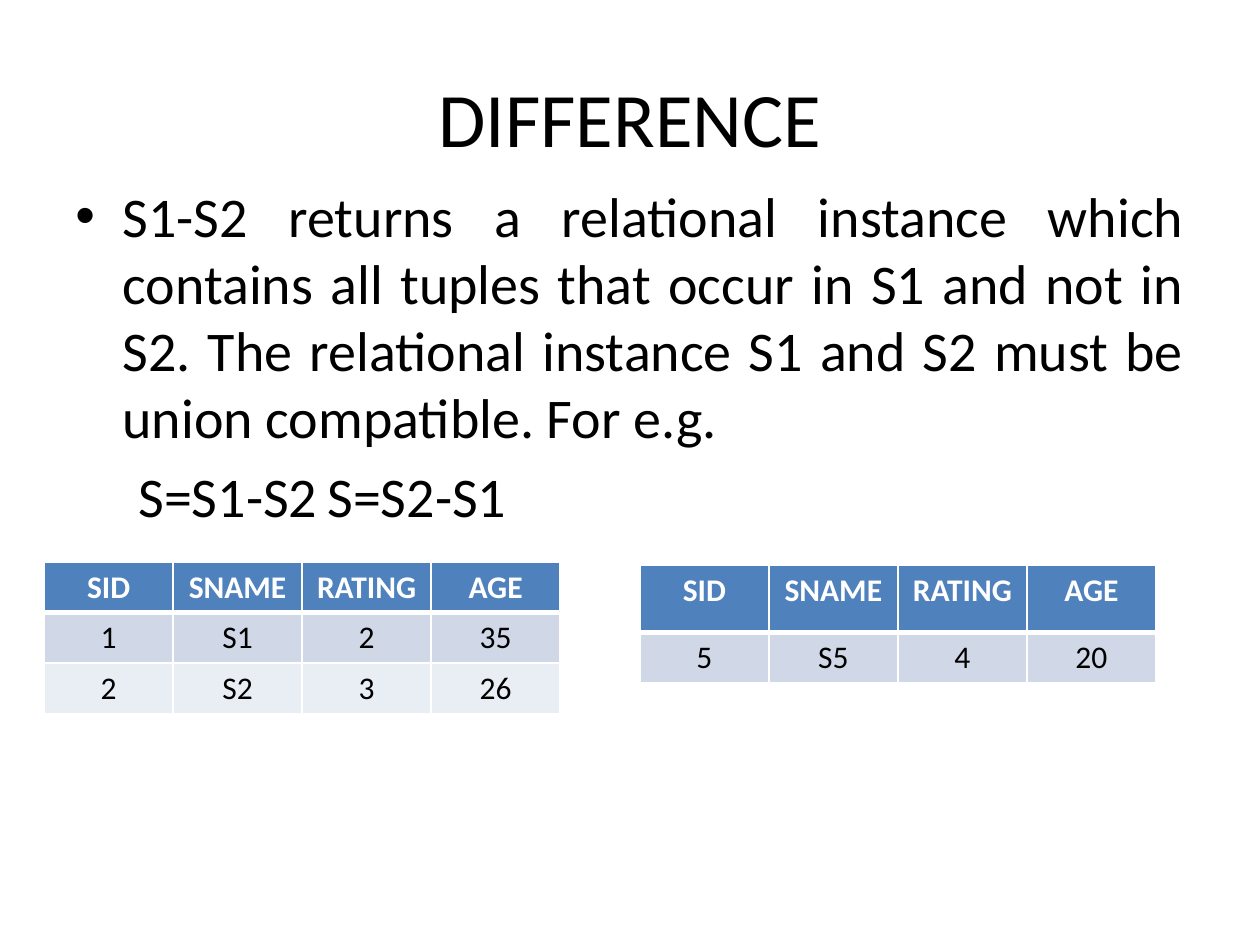
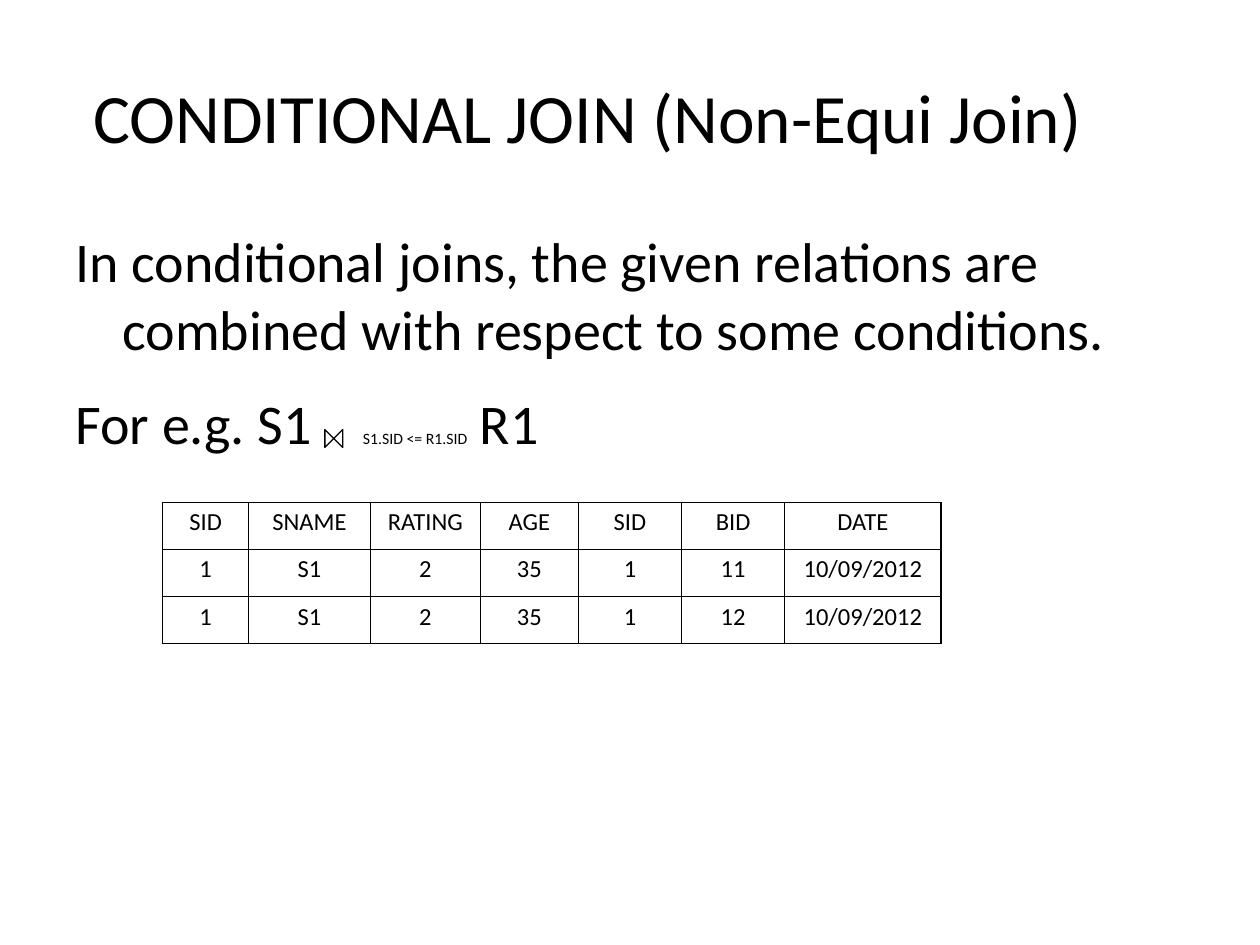
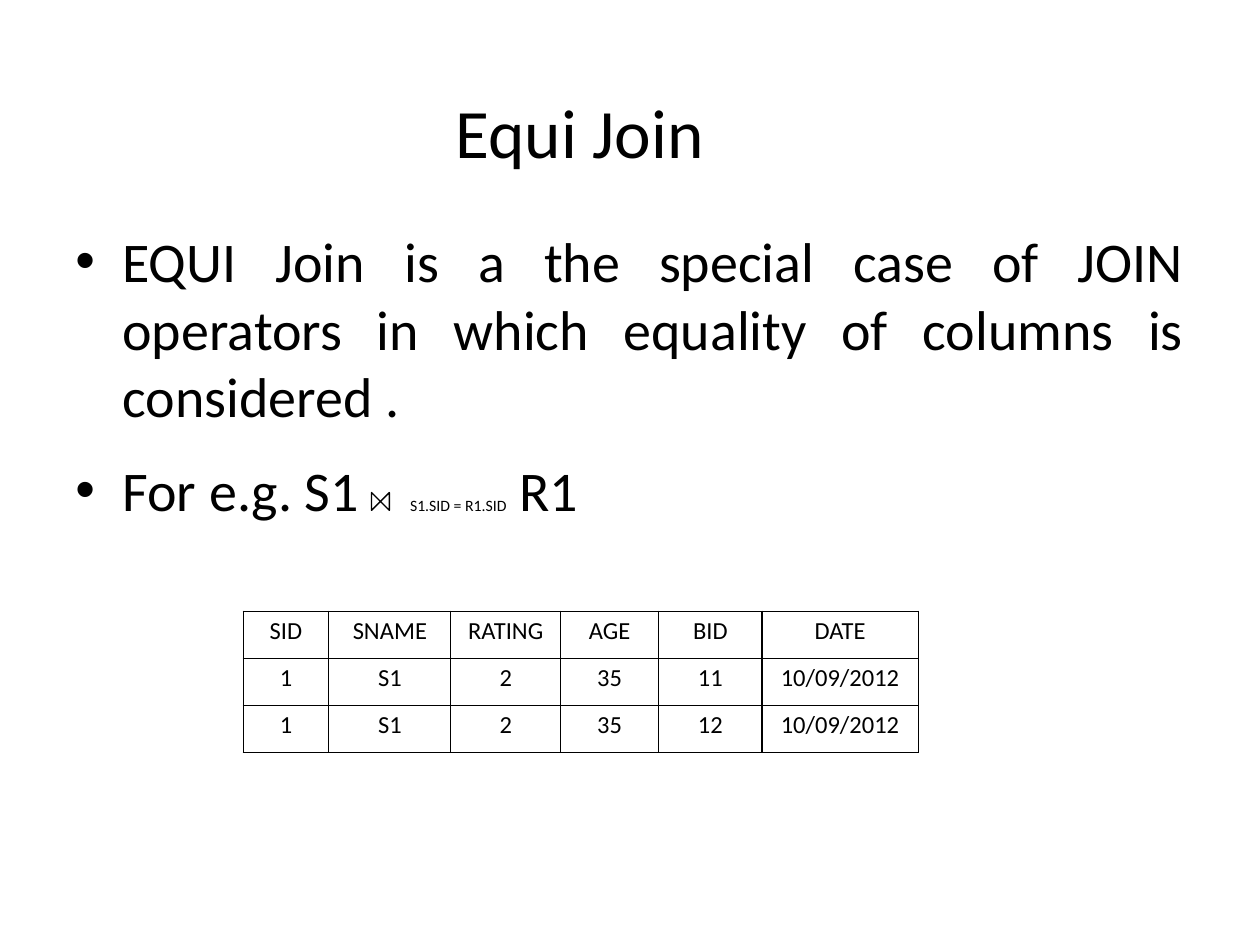
from lxml import etree
from pptx import Presentation
from pptx import util as u
from pptx.dml import color
from pptx.enum import text
from pptx.oxml import ns

FONT = "Calibri"
BLACK, WHITE = "000000", "FFFFFF"
HEAD, BAND_1, BAND_2 = "4F81BD", "D0D8E8", "E9EDF4"
AL = text.PP_ALIGN
BODY_SIZE = 32
HANG = 0.95
WIDE_SPACE = 21.7
JOIN_SPACING = {"space_before": u.Pt(4.8), "space_after": u.Pt(10.6)}
JOIN_SIDE = 0.36


def rgb(value):
    return color.RGBColor.from_string(value)


def apply(obj, formats):
    for name, value in formats.items():
        setattr(obj, name, value)


def add_run(p, words, size, hue=BLACK, bold=False, spacing=None):
    r = p.add_run()
    r.text = words
    apply(r.font, {"name": FONT, "size": u.Pt(size), "bold": bold})
    r.font.color.rgb = rgb(hue)
    if spacing:
        r._r.get_or_add_rPr().set("spc", str(round(spacing * 100)))


def sub(parent, tag, **attrs):
    return etree.SubElement(parent, ns.qn(tag), attrs)


def add_title(s, box, words, size):
    sp = s.shapes.title
    apply(sp, dict(zip(("left", "top", "width", "height"), map(u.Cm, box))))
    apply(sp.text_frame, {"word_wrap": True, "auto_size": text.MSO_AUTO_SIZE.NONE,
                          "vertical_anchor": text.MSO_ANCHOR.MIDDLE})
    p = sp.text_frame.paragraphs[0]
    p.alignment = AL.CENTER
    add_run(p, words, size)


def add_body(s, box, paragraphs):
    tf = s.shapes.add_textbox(*map(u.Cm, box)).text_frame
    tf.word_wrap = True
    for i, para in enumerate(paragraphs):
        p = tf.add_paragraph() if i else tf.paragraphs[0]
        pPr = p._p.get_or_add_pPr()
        hang = para.get("hang", 0)
        pPr.set("marL", str(u.Cm(hang)))
        pPr.set("indent", str(-u.Cm(hang)))
        if para.get("bullet"):
            sub(pPr, "a:buFont", typeface="Arial")
            sub(pPr, "a:buChar", char="•")
        if "tabs" in para:
            tabs = sub(pPr, "a:tabLst")
            for stop in para["tabs"]:
                sub(tabs, "a:tab", pos=str(u.Cm(stop)), algn="l")
        formats = dict(para.get("formats", {}))
        if i == 0:
            formats.pop("space_before", None)
        apply(p, formats)
        for words, size, spacing in para["runs"]:
            add_run(p, words, size, spacing=spacing)


def set_borders(cell, hue, width, bottom):
    tcPr = cell._tc.get_or_add_tcPr()
    for i, side in enumerate("LRTB"):
        weight = bottom if side == "B" else width
        ln = etree.Element(ns.qn(f"a:ln{side}"), w=str(u.Pt(weight)))
        sub(sub(ln, "a:solidFill"), "a:srgbClr", val=hue)
        tcPr.insert(i, ln)


def add_grid(s, left, top, cols, heights, rows, style):
    box = map(u.Cm, (left, top, sum(cols), sum(heights)))
    table = s.shapes.add_table(len(rows), len(cols), *box).table
    apply(table, {"first_row": False, "horz_banding": False})
    for col, width in zip(table.columns, cols):
        col.width = u.Cm(width)
    for i, (row, values) in enumerate(zip(table.rows, rows)):
        row.height = u.Cm(heights[i])
        fill, hue, bold, bottom = style["rows"][i]
        for cell, value in zip(row.cells, values):
            apply(cell, style["margins"])
            if fill:
                cell.fill.solid()
                cell.fill.fore_color.rgb = rgb(fill)
            else:
                cell.fill.background()
            set_borders(cell, style["line"], style["width"], bottom)
            p = cell.text_frame.paragraphs[0]
            p.alignment = AL.CENTER
            add_run(p, value, style["size"], hue, bold)


BANDED = {"size": 18, "line": WHITE, "width": 1, "margins": {},
          "rows": [(HEAD, WHITE, True, 3), (BAND_1, BLACK, False, 1), (BAND_2, BLACK, False, 1)]}
RULED = {"size": 14, "line": BLACK, "width": 0.75,
         "margins": {"margin_left": u.Cm(0.18), "margin_right": u.Cm(0.18),
                     "margin_top": u.Cm(0.1), "margin_bottom": u.Cm(0.1)},
         "rows": [(None, BLACK, False, 0.75)] * 3}


def add_join_symbol(s, left, top):
    x1, y1, x2, y2 = map(u.Cm, (left, top, left + JOIN_SIDE, top + JOIN_SIDE))
    builder = s.shapes.build_freeform(x2, y2)
    builder.add_line_segments([(x1, y1), (x1, y2), (x2, y1)], close=True)
    sp = builder.convert_to_shape()
    sp.shadow.inherit = False
    sp.fill.background()
    sp.line.color.rgb = rgb(BLACK)
    sp.line.width = u.Pt(0.75)


def new_slide(prs):
    return prs.slides.add_slide(prs.slide_layouts[5])


def difference_slide(prs):
    s = new_slide(prs)
    add_title(s, (1.27, 0.76, 22.86, 3.18), "DIFFERENCE", 44)
    add_body(s, (1.27, 3.53, 22.86, 13.49), [
        {"hang": HANG, "bullet": True, "formats": {"alignment": AL.JUSTIFY},
         "runs": [("S1-S2 returns a relational instance which contains all tuples that occur in S1 "
                   "and not in S2. The relational instance S1 and S2 must be union compatible. "
                   "For e.g.", BODY_SIZE, None)]},
        {"tabs": (2.54, 12.7), "formats": {"space_before": u.Pt(6.4)},
         "runs": [("\tS=S1-S2\tS=S2-S1", BODY_SIZE, None)]},
    ])
    header = ("SID", "SNAME", "RATING", "AGE")
    cols = [2.6] * len(header)
    add_grid(s, 0.89, 11.33, cols, [1.02] * 3,
             [header, ("1", "S1", "2", "35"), ("2", "S2", "3", "26")], BANDED)
    add_grid(s, 12.9, 11.4, cols, [1.35, 1.02], [header, ("5", "S5", "4", "20")], BANDED)


def join_slide(prs, title, title_box, body_box, intro, condition, bullet, symbol, grid, cols, rows):
    s = new_slide(prs)
    add_title(s, title_box, title, 39.6)
    alignment = AL.JUSTIFY if bullet else AL.LEFT
    shared = {"hang": HANG, "bullet": bullet, "formats": {"alignment": alignment, **JOIN_SPACING}}
    example = [("For e.g. S1", BODY_SIZE, None), (" ", BODY_SIZE, WIDE_SPACE),
               (condition, 9, None), (" R1", BODY_SIZE, None)]
    add_body(s, body_box, [{**shared, "runs": [(intro, BODY_SIZE, None)]},
                           {**shared, "runs": example}])
    add_join_symbol(s, *symbol)
    add_grid(s, *grid, cols, [0.95] * len(rows), rows, RULED)


def main():
    prs = Presentation()
    apply(prs, {"slide_width": u.Cm(25.4), "slide_height": u.Cm(19.05)})
    difference_slide(prs)
    join_slide(
        prs, "CONDITIONAL JOIN (Non-Equi Join)", (1.27, 0.69, 21.16, 3.28),
        (1.27, 4.45, 22.86, 9.47),
        "In conditional joins, the given relations are combined with respect to some conditions.",
        "S1.SID <= R1.SID", False, (6.55, 8.66), (3.28, 10.13),
        [1.73, 2.46, 2.21, 1.98, 2.08, 2.08, 3.15],
        [("SID", "SNAME", "RATING", "AGE", "SID", "BID", "DATE"),
         *(("1", "S1", "2", "35", "1", bid, "10/09/2012") for bid in ("11", "12"))])
    join_slide(
        prs, "Equi Join", (1.9, 1.73, 19.58, 1.8), (1.27, 4.45, 22.86, 12.57),
        "EQUI Join is a the special case of JOIN operators in which equality of columns is "
        "considered .",
        "S1.SID = R1.SID", True, (7.49, 9.93), (4.9, 12.32),
        [1.73, 2.46, 2.21, 1.98, 2.08, 3.15],
        [("SID", "SNAME", "RATING", "AGE", "BID", "DATE"),
         *(("1", "S1", "2", "35", bid, "10/09/2012") for bid in ("11", "12"))])
    prs.save("out.pptx")


if __name__ == "__main__":
    main()
